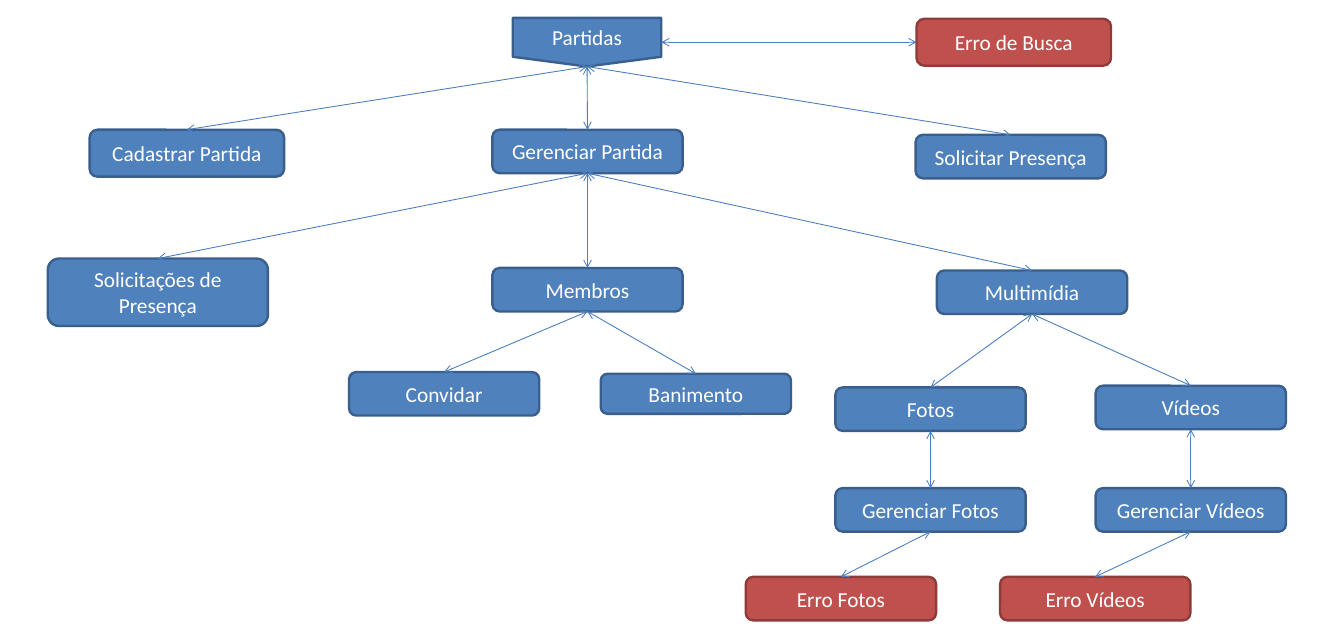
"""Build the site map of the match pages as a tree of linked boxes."""
from dataclasses import dataclass

from lxml import etree
from pptx import Presentation
from pptx.dml.color import RGBColor
from pptx.enum.shapes import MSO_CONNECTOR, MSO_SHAPE
from pptx.enum.text import MSO_ANCHOR, PP_ALIGN
from pptx.oxml.ns import qn
from pptx.util import Inches, Pt

ROUNDED = MSO_SHAPE.ROUNDED_RECTANGLE
OFFPAGE = MSO_SHAPE.FLOWCHART_OFFPAGE_CONNECTOR
STRAIGHT = MSO_CONNECTOR.STRAIGHT
MIDDLE = MSO_ANCHOR.MIDDLE
CENTER = PP_ALIGN.CENTER
TOP, LEFT, BOTTOM, RIGHT = range(4)


@dataclass(frozen=True)
class Theme:
    """Colours, type and line widths of the slide."""
    page: tuple = ("4F81BD", "3A5F8C")
    error: tuple = ("C0504D", "8E3B39")
    link: str = "4B7EBC"
    label: str = "FFFFFF"
    font: str = "Calibri"
    size: float = 18
    border: float = 2
    link_width: float = 0.75


def apply_format(target, values):
    """Set each named attribute on the target."""
    for name, value in values.items():
        setattr(target, name, value)


class SiteMap:
    """Draws pages and links on one slide in one theme."""

    def __init__(self, slide, theme):
        """Keep the slide and theme."""
        self.slide, self.theme = slide, theme

    def page(self, label, left, top, width=2.23, height=0.51, colors=None, outline=ROUNDED):
        """Add a labelled box."""
        theme = self.theme
        fill, border = colors or theme.page
        box = self.slide.shapes.add_shape(outline, *map(Inches, (left, top, width, height)))
        box.shadow.inherit = False
        box.fill.solid()
        box.fill.fore_color.rgb = RGBColor.from_string(fill)
        box.line.color.rgb = RGBColor.from_string(border)
        box.line.width = Pt(theme.border)
        apply_format(box.text_frame, {"text": label, "word_wrap": True, "vertical_anchor": MIDDLE})
        paragraph = box.text_frame.paragraphs[0]
        paragraph.alignment = CENTER
        font = paragraph.runs[0].font
        apply_format(font, {"name": theme.font, "size": Pt(theme.size)})
        font.color.rgb = RGBColor.from_string(theme.label)
        return box

    def link(self, source, target, leaving=BOTTOM, entering=TOP):
        """Join two boxes with a double-headed arrow."""
        arrow = self.slide.shapes.add_connector(STRAIGHT, 0, 0, 0, 0)
        arrow.begin_connect(source, leaving)
        arrow.end_connect(target, entering)
        arrow.line.color.rgb = RGBColor.from_string(self.theme.link)
        arrow.line.width = Pt(self.theme.link_width)
        stroke = arrow.line._get_or_add_ln()
        for end in ("a:headEnd", "a:tailEnd"):
            etree.SubElement(stroke, qn(end), type="arrow")
        etree.SubElement(arrow._element.spPr, qn("a:effectLst"))


theme = Theme()
error = {"colors": theme.error}
middle_column, photo_column, video_column = 5.77, 9.79, 12.84
manage_row, error_row = 5.72, 6.76

pages = {
    "Partidas": (6.01, 0.21, {"width": 1.74, "height": 0.57, "outline": OFFPAGE}),
    "Erro de Busca": (10.74, 0.22, {"width": 2.28, "height": 0.55, **error}),
    "Cadastrar Partida": (1.05, 1.52, {"width": 2.28, "height": 0.55}),
    "Gerenciar Partida": (middle_column, 1.52, {}),
    "Solicitar Presença": (10.73, 1.58, {}),
    "Solicitações de Presença": (0.56, 3.03, {"width": 2.58, "height": 0.79}),
    "Membros": (middle_column, 3.14, {}),
    "Multimídia": (10.98, 3.17, {}),
    "Convidar": (4.09, 4.36, {}),
    "Banimento": (7.04, 4.38, {"height": 0.47}),
    "Fotos": (photo_column, 4.54, {}),
    "Vídeos": (video_column, 4.52, {}),
    "Gerenciar Fotos": (photo_column, manage_row, {}),
    "Gerenciar Vídeos": (video_column, manage_row, {}),
    "Erro Fotos": (8.74, error_row, error),
    "Erro Vídeos": (11.72, error_row, error),
}
children = {
    "Partidas": ("Cadastrar Partida", "Gerenciar Partida", "Solicitar Presença"),
    "Gerenciar Partida": ("Solicitações de Presença", "Membros", "Multimídia"),
    "Membros": ("Convidar", "Banimento"),
    "Multimídia": ("Fotos", "Vídeos"),
    "Fotos": ("Gerenciar Fotos",),
    "Vídeos": ("Gerenciar Vídeos",),
    "Gerenciar Fotos": ("Erro Fotos",),
    "Gerenciar Vídeos": ("Erro Vídeos",),
}

deck = Presentation()
apply_format(deck, {"slide_width": Inches(15.75), "slide_height": Inches(7.5)})
site_map = SiteMap(deck.slides.add_slide(deck.slide_layouts[6]), theme)

boxes = {label: site_map.page(label, left, top, **options)
         for label, (left, top, options) in pages.items()}
for parent, branches in children.items():
    for branch in branches:
        site_map.link(boxes[parent], boxes[branch])
site_map.link(boxes["Partidas"], boxes["Erro de Busca"], RIGHT, LEFT)

deck.save("out.pptx")
